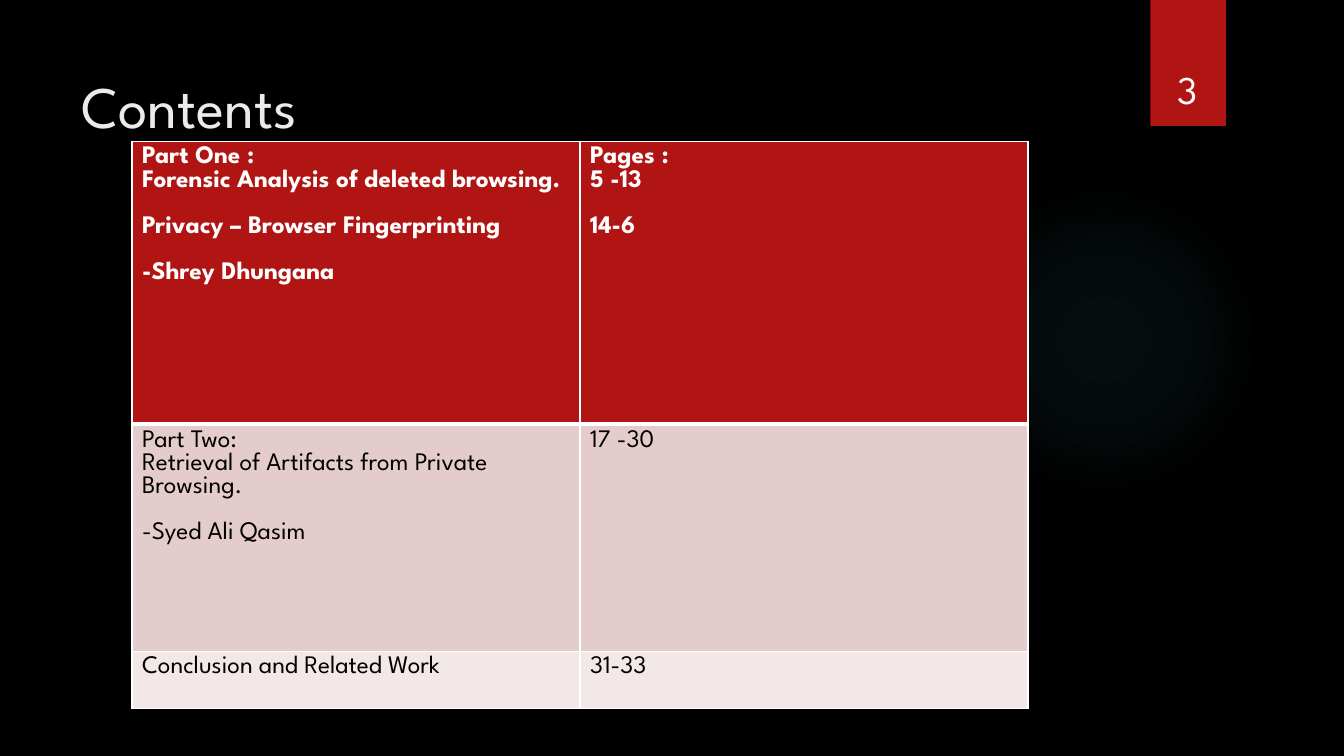
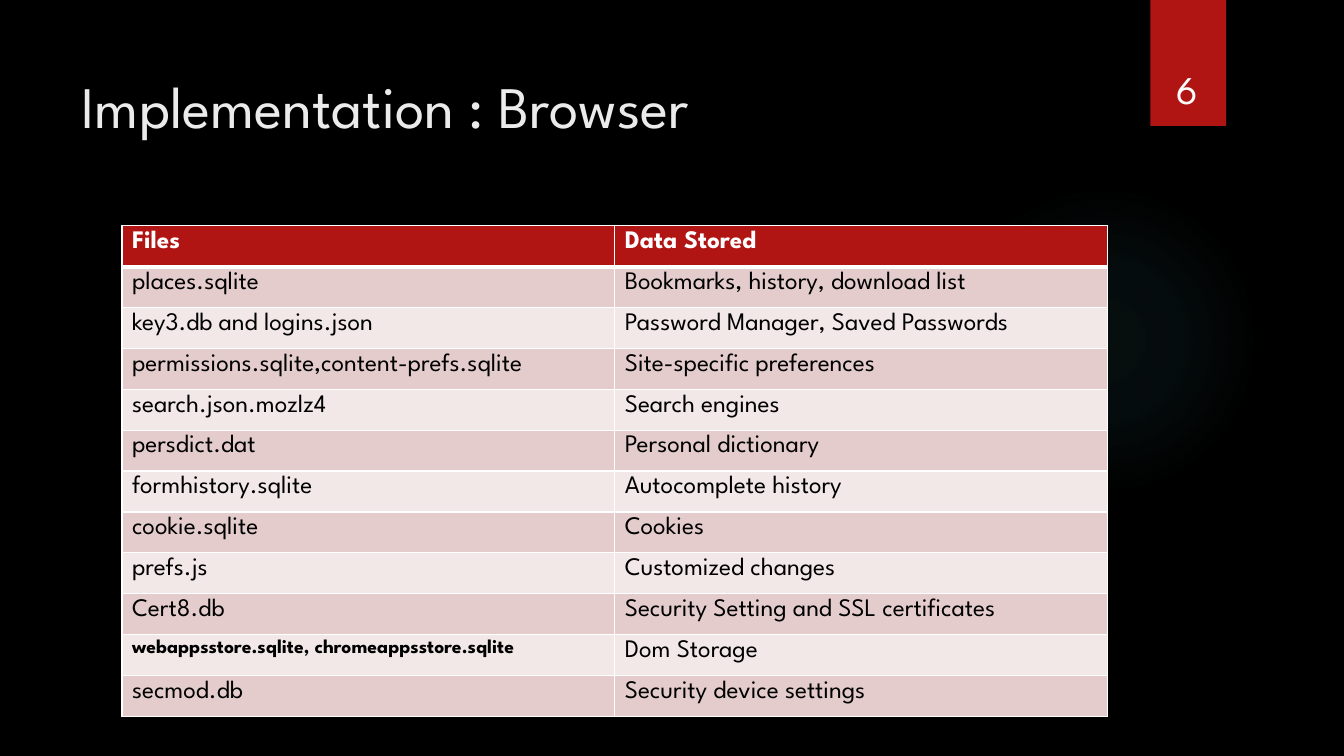
"""Build two dark slides, each with a title, a page tab and a table."""
from lxml import etree
from pptx import Presentation
from pptx.dml.color import RGBColor
from pptx.enum.shapes import MSO_SHAPE
from pptx.enum.text import MSO_ANCHOR, MSO_AUTO_SIZE, PP_ALIGN
from pptx.oxml import parse_xml
from pptx.oxml.ns import qn
from pptx.util import Pt

OVAL, RECT = MSO_SHAPE.OVAL, MSO_SHAPE.RECTANGLE
TOP, BOTTOM = MSO_ANCHOR.TOP, MSO_ANCHOR.BOTTOM
LEFT, CENTER = PP_ALIGN.LEFT, PP_ALIGN.CENTER
FIXED = MSO_AUTO_SIZE.NONE

BLACK = RGBColor(0x00, 0x00, 0x00)
WHITE = RGBColor(0xFF, 0xFF, 0xFF)
PALE = RGBColor(0xEB, 0xEB, 0xEB)
RED = RGBColor(0xB0, 0x15, 0x13)
ROSE = RGBColor(0xE4, 0xCC, 0xCC)
BLUSH = RGBColor(0xF2, 0xE8, 0xE7)
TEAL = RGBColor(0x50, 0xB9, 0xC1)

FONT = "League Spartan"
GAP = Pt(16.5)
NS = "http://schemas.openxmlformats.org/drawingml/2006/main"
STOPS = [(0, 7), (36, 6), (69, 0)]
SMALL = "webappsstore.sqlite, chromeappsstore.sqlite"

PAGES = [
    {
        "title": "Contents", "page": "3",
        "left": 94.3, "top": 100.8, "width": 320, "heights": [202.3, 162, 41],
        "rows": [
            ("Part One :\vForensic Analysis of deleted browsing.\n\n"
             "Privacy – Browser Fingerprinting\n\n-Shrey Dhungana",
             "Pages :\v5 -13\n\n14-6"),
            ("Part Two:\nRetrieval of Artifacts from Private Browsing.\n\n"
             "-Syed Ali Qasim", "17 -30"),
            ("Conclusion and Related Work", "31-33"),
        ],
    },
    {
        "title": "Implementation : Browser", "page": "6",
        "left": 87.1, "top": 161.3, "width": 352, "heights": [29.2] * 12,
        "rows": [
            ("Files", "Data Stored"),
            ("places.sqlite", "Bookmarks, history, download list"),
            ("key3.db and logins.json", "Password Manager, Saved Passwords"),
            ("permissions.sqlite,content-prefs.sqlite",
             "Site-specific preferences"),
            ("search.json.mozlz4", "Search engines"),
            ("persdict.dat", "Personal dictionary"),
            ("formhistory.sqlite", "Autocomplete history"),
            ("cookie.sqlite", "Cookies"),
            ("prefs.js", "Customized changes"),
            ("Cert8.db", "Security Setting and SSL certificates"),
            (SMALL, "Dom Storage"),
            ("secmod.db", "Security device settings"),
        ],
    },
]


def write(par, text, size, color, bold=False):
    for n, piece in enumerate(text.split("\v")):
        if n:
            par.add_line_break()
        run = par.add_run()
        run.text = piece
        run.font.name = FONT
        run.font.size = Pt(size)
        run.font.bold = bold
        run.font.color.rgb = color


def edge(cell, side, width):
    line = etree.SubElement(cell._tc.get_or_add_tcPr(), qn("a:ln" + side),
                            w=str(Pt(width)))
    fill = etree.SubElement(line, qn("a:solidFill"))
    etree.SubElement(fill, qn("a:srgbClr"), val=str(WHITE))


prs = Presentation()
prs.slide_width, prs.slide_height = Pt(960), Pt(540)
back = prs.slide_master.background.fill
back.solid()
back.fore_color.rgb = BLACK

for page in PAGES:
    slide = prs.slides.add_slide(prs.slide_layouts[5])
    shapes = slide.shapes

    glow = shapes.add_shape(OVAL, Pt(677.5), Pt(131.8), Pt(221.8), Pt(221.8))
    glow.shadow.inherit = False
    glow.line.fill.background()
    stops = "".join(
        f'<a:gs pos="{pos * 1000}"><a:srgbClr val="{TEAL}">'
        f'<a:alpha val="{alpha * 1000}"/></a:srgbClr></a:gs>'
        for pos, alpha in STOPS)
    glow._element.spPr.find(qn("a:prstGeom")).addnext(parse_xml(
        f'<a:gradFill xmlns:a="{NS}"><a:gsLst>{stops}</a:gsLst>'
        '<a:path path="circle"><a:fillToRect l="50000" t="50000" '
        'r="50000" b="50000"/></a:path></a:gradFill>'))

    tab = shapes.add_shape(RECT, Pt(821.8), Pt(0), Pt(54), Pt(90))
    tab.shadow.inherit = False
    tab.fill.solid()
    tab.fill.fore_color.rgb = RED
    tab.line.fill.background()

    title = shapes.title
    title.left, title.top = Pt(51), Pt(36)
    title.width, title.height = Pt(741), Pt(110)
    frame = title.text_frame
    frame.auto_size = FIXED
    frame.vertical_anchor = TOP
    frame.margin_top = Pt(14)
    frame.paragraphs[0].alignment = LEFT
    write(frame.paragraphs[0], page["title"], 42, PALE)

    frame = shapes.add_textbox(Pt(815), Pt(23), Pt(66), Pt(60.5)).text_frame
    frame.word_wrap = True
    frame.vertical_anchor = BOTTOM
    frame.paragraphs[0].alignment = CENTER
    write(frame.paragraphs[0], page["page"], 28, WHITE)

    rows, heights = page["rows"], page["heights"]
    table = shapes.add_table(
        len(rows), 2, Pt(page["left"]), Pt(page["top"]),
        Pt(2 * page["width"]), Pt(sum(heights))).table
    for col in table.columns:
        col.width = Pt(page["width"])
    for r, texts in enumerate(rows):
        table.rows[r].height = Pt(heights[r])
        head = r == 0
        for c, text in enumerate(texts):
            cell = table.cell(r, c)
            cell.vertical_anchor = TOP
            edge(cell, "L", 1)
            edge(cell, "R", 1)
            edge(cell, "T", 3 if r == 1 else 1)
            edge(cell, "B", 3 if head else 1)
            cell.fill.solid()
            cell.fill.fore_color.rgb = RED if head else (BLUSH, ROSE)[r % 2]
            small = text == SMALL
            for b, block in enumerate(text.split("\n\n")):
                for n, line in enumerate(block.split("\n")):
                    first = b == n == 0
                    frame = cell.text_frame
                    par = frame.paragraphs[0] if first else frame.add_paragraph()
                    if b and n == 0:
                        par.space_before = GAP
                    write(par, line, 14 if small else 18,
                          WHITE if head else BLACK, head or small)

prs.save("out.pptx")
